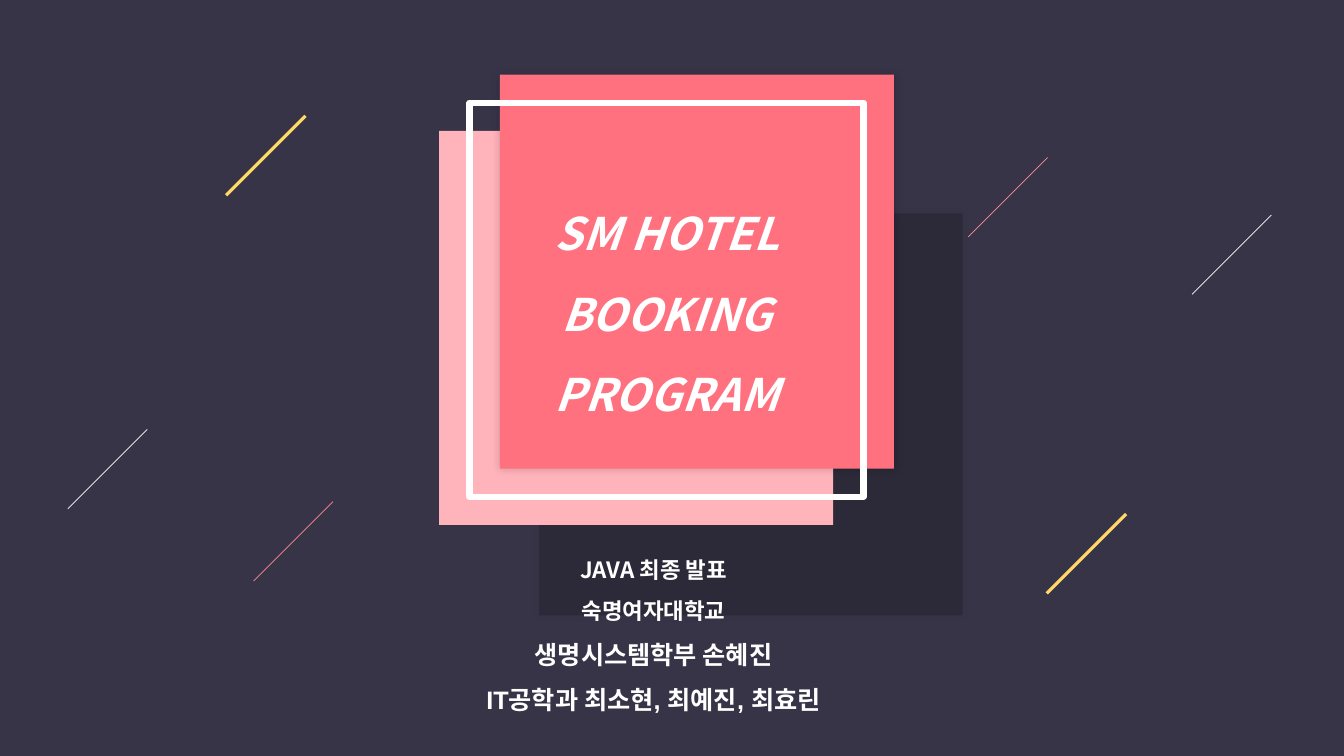
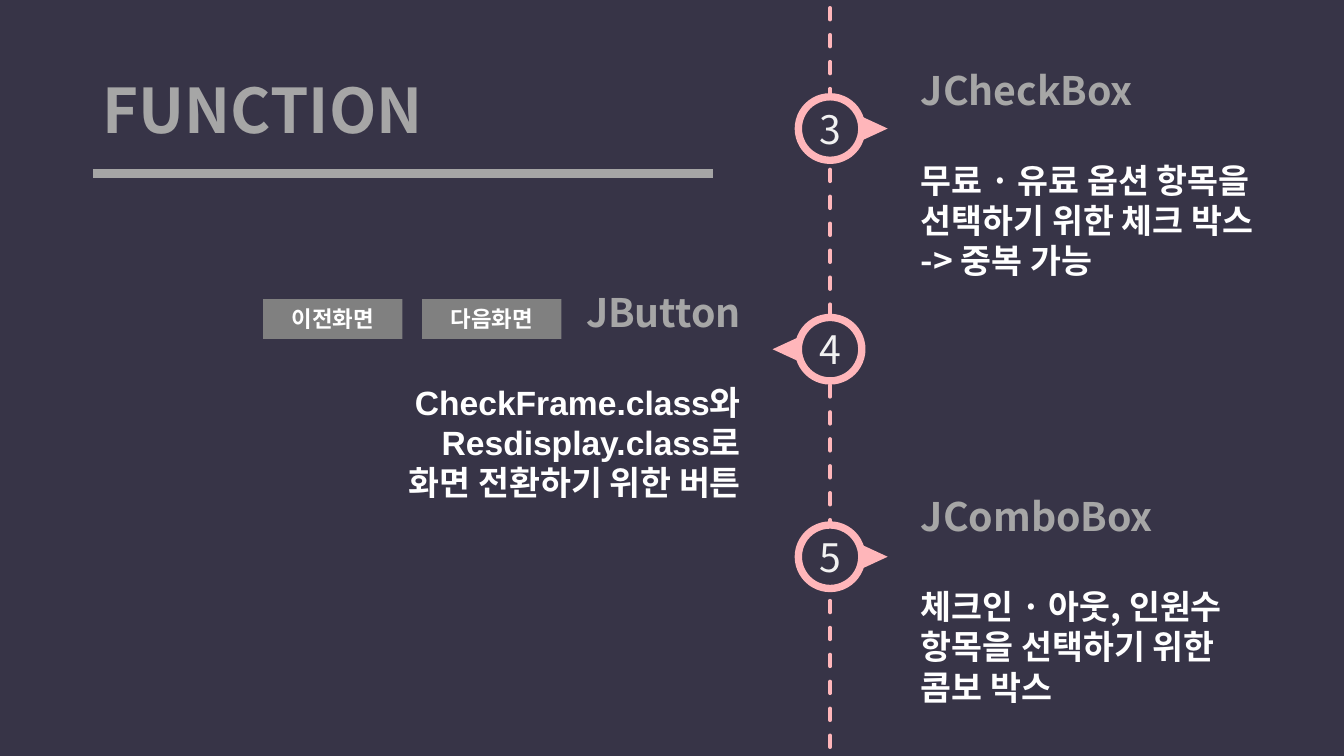
from pptx import Presentation
from pptx.dml.color import RGBColor
from pptx.enum.dml import MSO_LINE
from pptx.enum.shapes import MSO_CONNECTOR, MSO_SHAPE
from pptx.enum.text import MSO_ANCHOR, PP_ALIGN
from pptx.oxml.ns import qn
from pptx.util import Cm, Pt
from lxml.etree import SubElement

COLORS = {
    "background": "373447", "black": "000000", "white": "FFFFFF",
    "pale": "FFB3BA", "coral": "FF717F", "coral_line": "FF8B96",
    "yellow": "FFD966", "timeline": "FFB6BA", "heading": "A6A6A6",
    "rule": "A5A5A5", "button": "808080", "number": "F2F2F2",
}
KOREAN_FONT = "Noto Sans CJK KR"
LATIN_FONT = "Arial"
WIDTH, HEIGHT = 33.87, 19.05

COVER_TITLE = ["SM HOTEL", "BOOKING", "PROGRAM"]
COVER_CREDITS = [
    ("JAVA 최종 발표", 16, KOREAN_FONT),
    ("숙명여자대학교", 16, LATIN_FONT),
    ("생명시스템학부 손혜진", 18, LATIN_FONT),
    ("IT공학과 최소현, 최예진, 최효린", 18, LATIN_FONT),
]
SQUARE = 9.93
PALE_CORNER = (11.07, 3.3)
FRONT_CORNER = (12.6, 1.88)
STREAK = 2
STREAKS = [
    (7.7, 2.92, "yellow", 2.25), (3.71, 10.82, "white", 0.5),
    (8.39, 12.64, "coral_line", 0.5), (28.38, 12.95, "yellow", 2.25),
    (32.04, 5.42, "white", 0.5), (26.4, 3.97, "coral_line", 0.5),
]

TIMELINE_X = 20.92
RING = 1.6
POINTER = (0.61, 0.66)
POINTER_REACH = 1.12
STEPS = [
    {"number": "3", "center": 3.24, "side": 1, "box": (22.96, 1.55, 10.24, 5.74),
     "heading": "JCheckBox", "font": KOREAN_FONT,
     "lines": ["무료 · 유료 옵션 항목을", "선택하기 위한 체크 박스", "-> 중복 가능"]},
    {"number": "4", "center": 8.8, "side": -1, "box": (8.38, 7.14, 10.54, 6.5),
     "heading": "JButton", "font": LATIN_FONT,
     "lines": ["CheckFrame.class와 Resdisplay.class로", "화면 전환하기 위한 버튼"]},
    {"number": "5", "center": 14.03, "side": 1, "box": (22.96, 12.29, 10.24, 5.74),
     "heading": "JComboBox", "font": KOREAN_FONT,
     "lines": ["체크인 · 아웃, 인원수", "항목을 선택하기 위한", "콤보 박스"]},
]
BUTTONS = ["이전화면", "다음화면"]


def color(name):
    return RGBColor.from_string(COLORS[name])


def add_page(deck):
    page = deck.slides.add_slide(deck.slide_layouts[6])
    page.background.fill.solid()
    page.background.fill.fore_color.rgb = color("background")
    return page


def add_paragraph(frame, text, size=16, tint="white", font=KOREAN_FONT, bold=True,
                  italic=False, align=PP_ALIGN.LEFT, spacing=None, after=0):
    first = frame.paragraphs[0]
    para = frame.add_paragraph() if first.runs else first
    para.alignment = align
    para.line_spacing = spacing
    para.space_after = Pt(after)
    span = para.add_run()
    span.text = text
    span.font.size = Pt(size)
    span.font.bold = bold
    span.font.italic = italic
    span.font.color.rgb = color(tint)
    span.font.name = font
    SubElement(span.font._element, qn("a:ea"), typeface=KOREAN_FONT)


def add_text_box(page, area, anchor=MSO_ANCHOR.TOP, wrap=True):
    frame = page.shapes.add_textbox(*map(Cm, area)).text_frame
    frame.word_wrap = wrap
    frame.vertical_anchor = anchor
    return frame


def add_block(shapes, kind, area, fill=None, line=None, weight=0):
    box = shapes.add_shape(kind, *map(Cm, area))
    box.shadow.inherit = False
    if fill:
        box.fill.solid()
        box.fill.fore_color.rgb = color(fill)
    else:
        box.fill.background()
    if line:
        box.line.color.rgb = color(line)
        box.line.width = Pt(weight)
    else:
        box.line.fill.background()
    return box


def add_shadow(box):
    effects = box._element.spPr.find(qn("a:effectLst"))
    shadow = SubElement(effects, qn("a:outerShdw"), blurRad=str(Pt(6)), dist="0",
                        dir="18900000", algn="bl", rotWithShape="0")
    tint = SubElement(shadow, qn("a:srgbClr"), val=COLORS["black"])
    SubElement(tint, qn("a:alpha"), val="20000")


def add_line(page, start, end, tint, weight):
    line = page.shapes.add_connector(MSO_CONNECTOR.STRAIGHT, *map(Cm, start + end))
    line.line.color.rgb = color(tint)
    line.line.width = Pt(weight)
    SubElement(line._element.spPr, qn("a:effectLst"))
    return line


def build_cover(deck):
    page = add_page(deck)
    backdrop = add_block(page.shapes, MSO_SHAPE.RECTANGLE, (13.59, 5.38, 10.67, 10.13), "black")
    tint = backdrop._element.spPr.find(qn("a:solidFill"))[0]
    SubElement(tint, qn("a:alpha"), val="17000")
    add_shadow(backdrop)

    add_block(page.shapes, MSO_SHAPE.RECTANGLE, (*PALE_CORNER, SQUARE, SQUARE), "pale")
    front = add_block(page.shapes, MSO_SHAPE.RECTANGLE, (*FRONT_CORNER, SQUARE, SQUARE), "coral")
    add_shadow(front)
    middle = [(a + b) / 2 for a, b in zip(PALE_CORNER, FRONT_CORNER)]
    outline = add_block(page.shapes, MSO_SHAPE.RECTANGLE, (*middle, SQUARE, SQUARE),
                        line="white", weight=4.5)
    frame = outline.text_frame
    frame.word_wrap = True
    frame.vertical_anchor = MSO_ANCHOR.MIDDLE
    frame.margin_left = frame.margin_right = Cm(0.5)
    for text in COVER_TITLE:
        add_paragraph(frame, text, size=32, italic=True, align=PP_ALIGN.CENTER, spacing=1.5)

    credits = add_text_box(page, (9.04, 13.94, 14.86, 3.81), MSO_ANCHOR.MIDDLE)
    credits.margin_left = credits.margin_right = credits.margin_top = credits.margin_bottom = 0
    for text, size, font in COVER_CREDITS:
        add_paragraph(credits, text, size=size, font=font, align=PP_ALIGN.CENTER, spacing=1.5)

    for x, y, tint, weight in STREAKS:
        add_line(page, (x, y), (x - STREAK, y + STREAK), tint, weight)


def add_step(page, step):
    center, side = step["center"], step["side"]
    marker = page.shapes.add_group_shape()
    add_block(marker.shapes, MSO_SHAPE.OVAL,
              (TIMELINE_X - RING / 2, center - RING / 2, RING, RING),
              "background", "timeline", 5.25)
    width, height = POINTER
    pointer = add_block(marker.shapes, MSO_SHAPE.ISOSCELES_TRIANGLE,
                        (TIMELINE_X + side * POINTER_REACH - width / 2,
                         center - height / 2, width, height), "timeline")
    pointer.rotation = 90 if side > 0 else 270

    number = add_text_box(page, (TIMELINE_X - 0.52, center - 0.72, 1.04, 1.45), wrap=False)
    add_paragraph(number, step["number"], size=28, tint="number", bold=False,
                  align=PP_ALIGN.CENTER)

    align = PP_ALIGN.LEFT if side > 0 else PP_ALIGN.RIGHT
    frame = add_text_box(page, step["box"])
    add_paragraph(frame, step["heading"], size=28, tint="heading", align=align, after=33)
    for text in step["lines"]:
        add_paragraph(frame, text, size=24, font=step["font"], align=align)


def build_functions(deck):
    page = add_page(deck)
    title = add_text_box(page, (2.34, 1.02, 29.21, 3.68), MSO_ANCHOR.MIDDLE)
    add_paragraph(title, "FUNCTION", size=44, tint="heading", spacing=0.9)
    add_line(page, (2.34, 4.37), (17.98, 4.37), "rule", 6)
    timeline = add_line(page, (TIMELINE_X, 0.2), (TIMELINE_X, HEIGHT), "timeline", 2.75)
    timeline.line.dash_style = MSO_LINE.DASH
    timeline._element.spPr.find(qn("a:ln")).set("cap", "rnd")
    for step in STEPS:
        add_step(page, step)
    for index, text in enumerate(BUTTONS):
        button = add_block(page.shapes, MSO_SHAPE.RECTANGLE,
                           (6.63 + index * 4.01, 7.54, 3.51, 1), "button")
        button.text_frame.vertical_anchor = MSO_ANCHOR.MIDDLE
        add_paragraph(button.text_frame, text, align=PP_ALIGN.CENTER)


def main():
    deck = Presentation()
    deck.slide_width, deck.slide_height = Cm(WIDTH), Cm(HEIGHT)
    build_cover(deck)
    build_functions(deck)
    deck.save("out.pptx")


if __name__ == "__main__":
    main()
